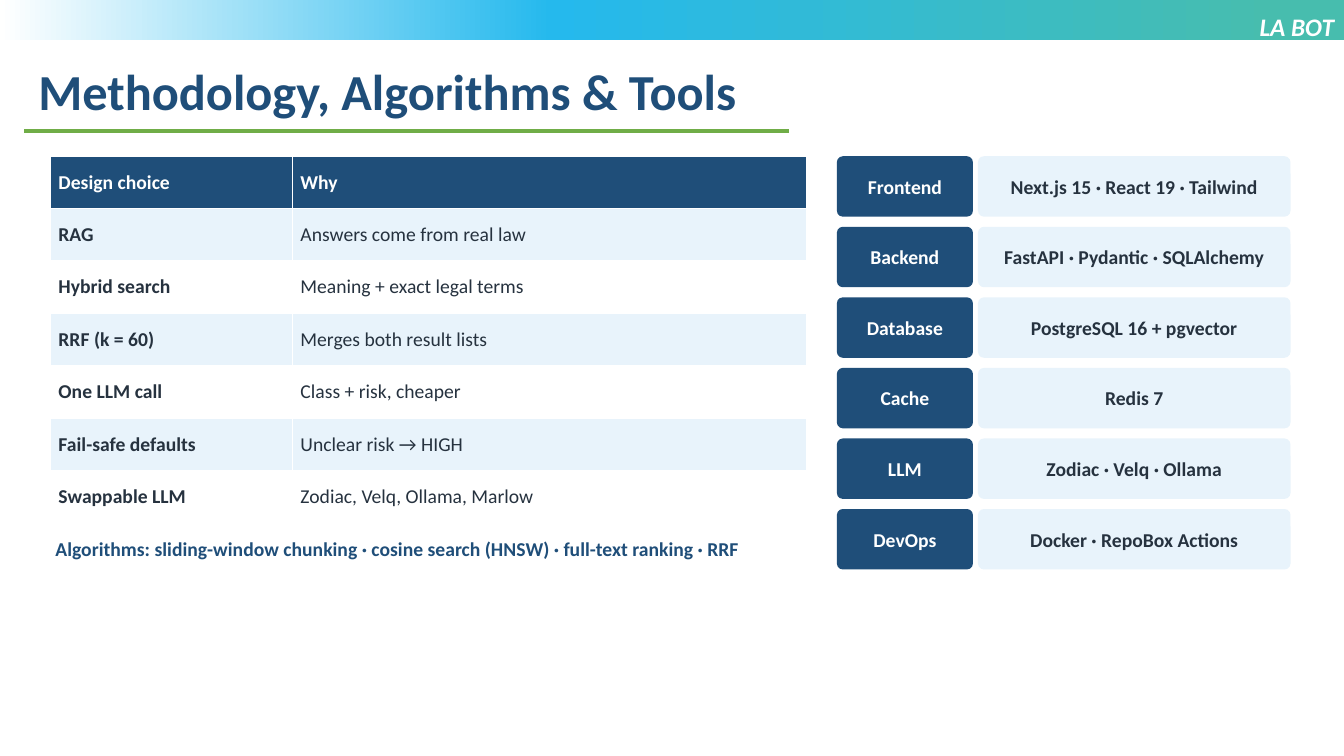
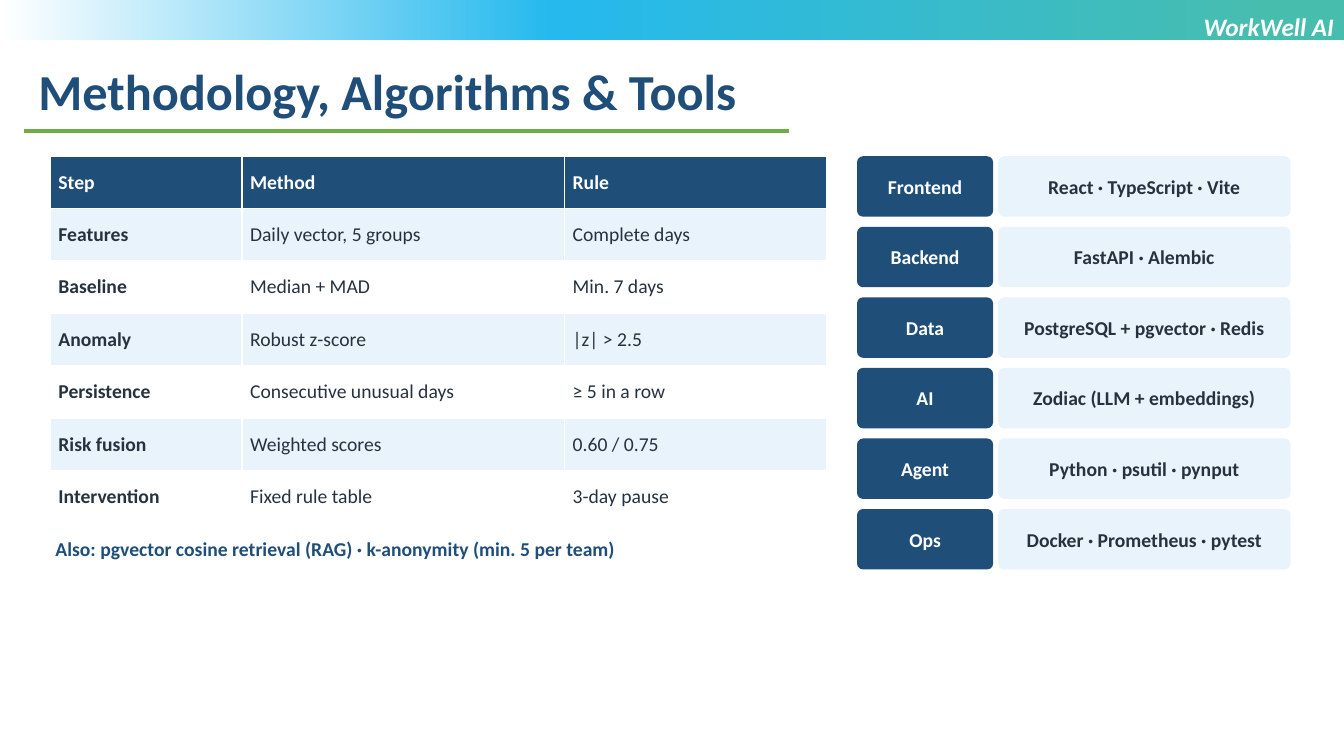
"""Build two methodology slides, each with a table, a note and a tool stack."""
from copy import deepcopy

from pptx import Presentation
from pptx.dml.color import RGBColor
from pptx.enum.shapes import MSO_CONNECTOR, MSO_SHAPE
from pptx.enum.text import MSO_ANCHOR, MSO_AUTO_SIZE, PP_ALIGN
from pptx.oxml.ns import qn
from pptx.oxml.xmlchemy import OxmlElement
from pptx.util import Pt

LEFT, CENTER, RIGHT = PP_ALIGN.LEFT, PP_ALIGN.CENTER, PP_ALIGN.RIGHT
TOP, MIDDLE = MSO_ANCHOR.TOP, MSO_ANCHOR.MIDDLE
GROW = MSO_AUTO_SIZE.SHAPE_TO_FIT_TEXT
RECTANGLE, ROUNDED = MSO_SHAPE.RECTANGLE, MSO_SHAPE.ROUNDED_RECTANGLE
STRAIGHT = MSO_CONNECTOR.STRAIGHT

NAVY = RGBColor(0x1F, 0x4E, 0x79)
PALE = RGBColor(0xE8, 0xF3, 0xFB)
INK = RGBColor(0x26, 0x32, 0x3F)
GREEN = RGBColor(0x70, 0xAD, 0x47)
TEAL = RGBColor(0x47, 0xBD, 0xAE)
SKY = RGBColor(0x25, 0xB9, 0xED)
WHITE = RGBColor(0xFF, 0xFF, 0xFF)

FONT = "Calibri"
PX = 9144
PAGE_WIDTH, PAGE_HEIGHT = 1333, 750
BAND_HEIGHT = 40
BAND_STOPS = [(0, WHITE), (0.41, SKY), (0.95, TEAL)]
TABLE_LEFT, CONTENT_TOP, ROW_HEIGHT = 50, 155, 52
NOTE_TOP, NOTE_HEIGHT = 530, 60
STACK_RIGHT, LABEL_WIDTH, LABEL_GAP = 1280, 135, 5
TOOL_HEIGHT, TOOL_STEP = 60, 70

TITLE = "Methodology, Algorithms & Tools"
SLIDES = [
    {
        "project": "LA BOT",
        "columns": [240, 510],
        "rows": [
            ("Design choice", "Why"),
            ("RAG", "Answers come from real law"),
            ("Hybrid search", "Meaning + exact legal terms"),
            ("RRF (k = 60)", "Merges both result lists"),
            ("One LLM call", "Class + risk, cheaper"),
            ("Fail-safe defaults", "Unclear risk → HIGH"),
            ("Swappable LLM", "Zodiac, Velq, Ollama, Marlow"),
        ],
        "note": "Algorithms: sliding-window chunking · cosine search (HNSW) · full-text ranking · RRF",
        "note_width": 760,
        "tool_width": 310,
        "tools": [
            ("Frontend", "Next.js 15 · React 19 · Tailwind"),
            ("Backend", "FastAPI · Pydantic · SQLAlchemy"),
            ("Database", "PostgreSQL 16 + pgvector"),
            ("Cache", "Redis 7"),
            ("LLM", "Zodiac · Velq · Ollama"),
            ("DevOps", "Docker · RepoBox Actions"),
        ],
    },
    {
        "project": "WorkWell AI",
        "columns": [190, 320, 260],
        "rows": [
            ("Step", "Method", "Rule"),
            ("Features", "Daily vector, 5 groups", "Complete days"),
            ("Baseline", "Median + MAD", "Min. 7 days"),
            ("Anomaly", "Robust z-score", "|z| > 2.5"),
            ("Persistence", "Consecutive unusual days", "≥ 5 in a row"),
            ("Risk fusion", "Weighted scores", "0.60 / 0.75"),
            ("Intervention", "Fixed rule table", "3-day pause"),
        ],
        "note": "Also: pgvector cosine retrieval (RAG) · k-anonymity (min. 5 per team)",
        "note_width": 770,
        "tool_width": 290,
        "tools": [
            ("Frontend", "React · TypeScript · Vite"),
            ("Backend", "FastAPI · Alembic"),
            ("Data", "PostgreSQL + pgvector · Redis"),
            ("AI", "Zodiac (LLM + embeddings)"),
            ("Agent", "Python · psutil · pynput"),
            ("Ops", "Docker · Prometheus · pytest"),
        ],
    },
]


def emu(*lengths):
    return [length * PX for length in lengths]


def set_margins(holder, side, edge):
    holder.margin_left = holder.margin_right = side * PX
    holder.margin_top = holder.margin_bottom = edge * PX


def write(frame, text, color, size=14, bold=True, italic=False, align=LEFT):
    para = frame.paragraphs[0]
    para.alignment = align
    span = para.add_run()
    span.text = text
    font = span.font
    font.name, font.size, font.bold, font.italic = FONT, Pt(size), bold, italic
    font.color.rgb = color


def add_text(page, place, text, color, **style):
    box = page.shapes.add_textbox(*emu(*place))
    frame = box.text_frame
    frame.word_wrap = True
    frame.auto_size = GROW
    write(frame, text, color, **style)
    return frame


def add_shape(page, kind, place):
    shape = page.shapes.add_shape(kind, *emu(*place))
    shape.shadow.inherit = False
    shape.line.fill.background()
    return shape


def add_band(page):
    band = add_shape(page, RECTANGLE, (0, 0, PAGE_WIDTH, BAND_HEIGHT))
    band.fill.gradient()
    band.fill.gradient_angle = 0
    stop_list = band.element.find(".//" + qn("a:gsLst"))
    stop_list.append(deepcopy(stop_list[0]))
    for stop, (position, color) in zip(band.fill.gradient_stops, BAND_STOPS):
        stop.position = position
        stop.color.rgb = color
    page.slide_layout.shapes.element.append(band.element)


def add_heading(page, project):
    title = page.shapes.title
    title.left, title.top, title.width, title.height = emu(28, 55, 1162, 71)
    frame = title.text_frame
    frame.word_wrap = True
    frame.auto_size = GROW
    frame.vertical_anchor = TOP
    write(frame, TITLE, NAVY, size=36)

    rule = page.shapes.add_connector(STRAIGHT, *emu(24, 130, 783, 130))
    rule.line.color.rgb = GREEN
    rule.line.width = Pt(2.25)
    rule.element.spPr.append(OxmlElement("a:effectLst"))

    add_text(page, (666, 6, 667, 71), project, WHITE, size=18, italic=True, align=RIGHT)


def add_table(page, columns, rows):
    place = (TABLE_LEFT, CONTENT_TOP, sum(columns), ROW_HEIGHT * len(rows))
    table = page.shapes.add_table(len(rows), len(columns), *emu(*place)).table
    for column, width in zip(table.columns, columns):
        column.width = width * PX
    for row_index, row in enumerate(rows):
        header = row_index == 0
        fill = NAVY if header else PALE if row_index % 2 else WHITE
        for column_index, text in enumerate(row):
            cell = table.cell(row_index, column_index)
            cell.fill.solid()
            cell.fill.fore_color.rgb = fill
            cell.vertical_anchor = MIDDLE
            set_margins(cell, 8, 3)
            write(cell.text_frame, text, WHITE if header else INK,
                  bold=header or column_index == 0)


def add_tile(page, place, text, fill, color):
    tile = add_shape(page, ROUNDED, place)
    tile.adjustments[0] = 0.1
    tile.fill.solid()
    tile.fill.fore_color.rgb = fill
    frame = tile.text_frame
    frame.word_wrap = True
    frame.vertical_anchor = MIDDLE
    set_margins(frame, 8, 4)
    write(frame, text, color, align=CENTER)


def add_stack(page, tools, tool_width):
    tool_left = STACK_RIGHT - tool_width
    label_left = tool_left - LABEL_GAP - LABEL_WIDTH
    for index, (label, tool) in enumerate(tools):
        top = CONTENT_TOP + index * TOOL_STEP
        add_tile(page, (label_left, top, LABEL_WIDTH, TOOL_HEIGHT), label, NAVY, WHITE)
        add_tile(page, (tool_left, top, tool_width, TOOL_HEIGHT), tool, PALE, INK)


def main():
    deck = Presentation()
    deck.slide_width, deck.slide_height = emu(PAGE_WIDTH, PAGE_HEIGHT)
    layout = deck.slide_layouts[5]
    for index, content in enumerate(SLIDES):
        page = deck.slides.add_slide(layout)
        if index == 0:
            add_band(page)
        add_heading(page, content["project"])
        add_table(page, content["columns"], content["rows"])
        note_place = (TABLE_LEFT, NOTE_TOP, content["note_width"], NOTE_HEIGHT)
        note = add_text(page, note_place, content["note"], NAVY)
        set_margins(note, 5, 3)
        add_stack(page, content["tools"], content["tool_width"])
    deck.save("out.pptx")


if __name__ == "__main__":
    main()
